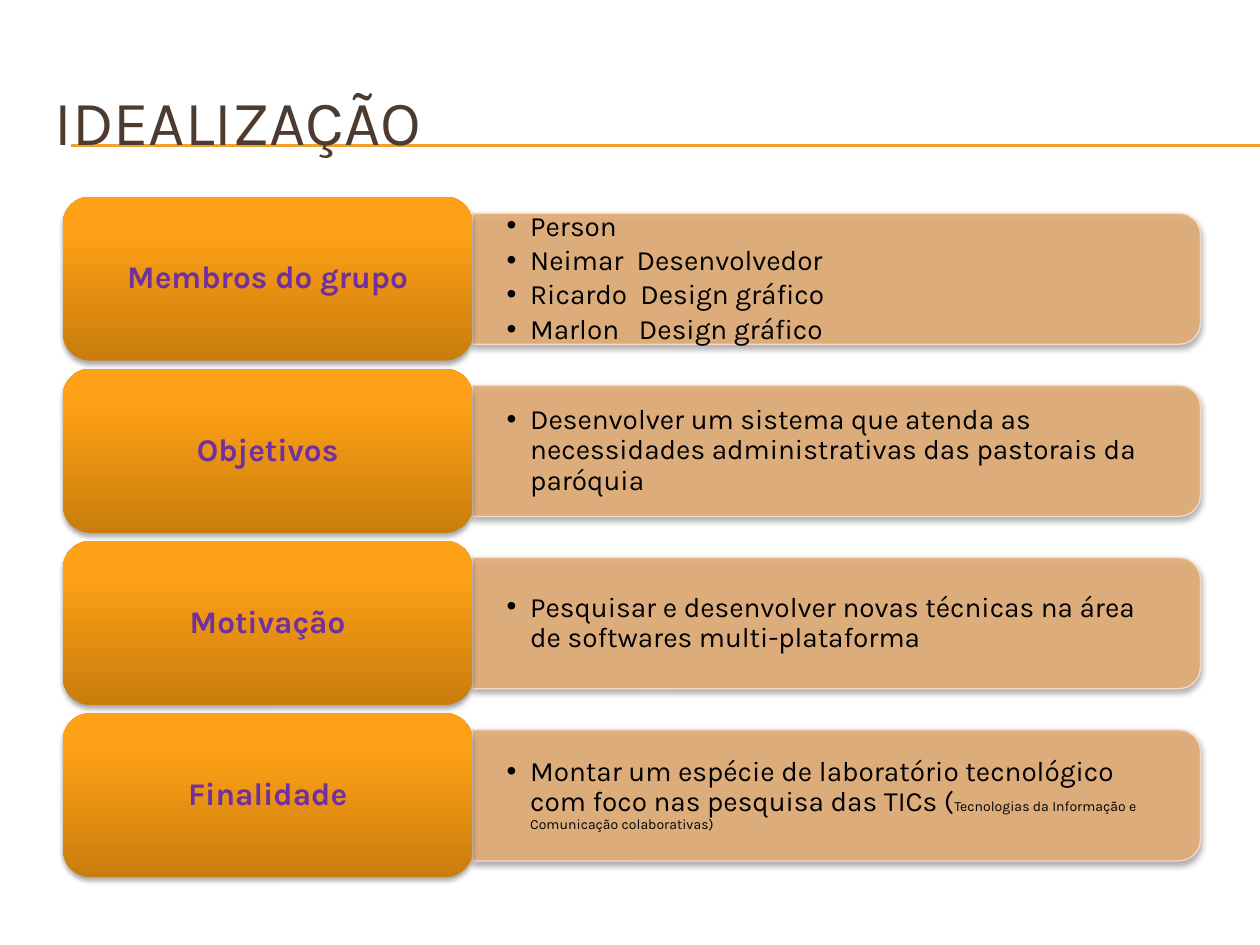
from copy import deepcopy

from pptx import Presentation
from pptx.dml.color import RGBColor
from pptx.enum.shapes import MSO_CONNECTOR, MSO_SHAPE
from pptx.enum.text import MSO_ANCHOR, PP_ALIGN
from pptx.oxml import parse_xml
from pptx.oxml.ns import nsdecls, qn
from pptx.util import Pt


def color(value):
    return RGBColor.from_string(value)


class IdeaPage:
    """Holds the style and the current page, and draws its elements."""

    font = "Karla"
    title_color = "4E3B30"
    rule_color = "F0A22E"
    label_color = "7030A0"
    text_color = "000000"
    panel_fill = "E2AC76"
    panel_line = "F9E0CD"
    card_stops = [(0, "C97D0D"), (0.8, "FFA116"), (1, "FFA217")]

    def __init__(self, deck):
        self.page = deck.slides.add_slide(deck.slide_layouts[6])

    def rule(self, left, right, top):
        line = self.page.shapes.add_connector(
            MSO_CONNECTOR.STRAIGHT, Pt(left), Pt(top), Pt(right), Pt(top))
        line.line.color.rgb = color(self.rule_color)
        line.line.width = Pt(0.75)
        line._element.spPr.append(parse_xml(f"<a:effectLst {nsdecls('a')}/>"))

    def shadow(self, shape):
        shape.shadow.inherit = False
        effects = shape._element.spPr.find(qn("a:effectLst"))
        effects.append(parse_xml(
            f'<a:outerShdw {nsdecls("a")} blurRad="{Pt(3.1)}" dist="{Pt(1.8)}" '
            'dir="5400000" rotWithShape="0"><a:srgbClr val="000000">'
            '<a:alpha val="35000"/></a:srgbClr></a:outerShdw>'))

    def panel(self, left, top, width, height):
        shift = (width - height) / 2
        shape = self.page.shapes.add_shape(
            MSO_SHAPE.ROUND_2_SAME_RECTANGLE,
            Pt(left + shift), Pt(top - shift), Pt(height), Pt(width))
        shape.rotation = 90
        shape.fill.solid()
        shape.fill.fore_color.rgb = color(self.panel_fill)
        shape.line.color.rgb = color(self.panel_line)
        shape.line.width = Pt(0.75)
        for tint in shape._element.spPr.iter(qn("a:srgbClr")):
            tint.append(parse_xml(f'<a:alpha {nsdecls("a")} val="90000"/>'))
        self.shadow(shape)

    def card(self, left, top, width, height):
        shape = self.page.shapes.add_shape(
            MSO_SHAPE.ROUNDED_RECTANGLE, Pt(left), Pt(top), Pt(width), Pt(height))
        shape.fill.gradient()
        shape.fill.gradient_angle = 90
        stops = shape._element.spPr.find(".//" + qn("a:gsLst"))
        stops.append(deepcopy(stops[0]))
        for stop, (position, value) in zip(shape.fill.gradient_stops, self.card_stops):
            stop.position = position
            stop.color.rgb = color(value)
        shape.line.fill.background()
        self.shadow(shape)

    def text(self, area, paragraphs, tint, inset, bold=False, align=PP_ALIGN.LEFT,
             spacing=1.0, after=0, bullet=False):
        box = self.page.shapes.add_textbox(*[Pt(length) for length in area])
        frame = box.text_frame
        frame.word_wrap = True
        frame.vertical_anchor = MSO_ANCHOR.MIDDLE
        frame.margin_left = frame.margin_right = Pt(inset[0])
        frame.margin_top = frame.margin_bottom = Pt(inset[1])
        for index, spans in enumerate(paragraphs):
            para = frame.add_paragraph() if index else frame.paragraphs[0]
            para.alignment = align
            para.line_spacing = spacing
            para.space_after = Pt(after)
            if bullet:
                self.bullet(para)
            for words, size in spans:
                span = para.add_run()
                span.text = words
                span.font.name = self.font
                span.font.size = Pt(size)
                span.font.bold = bold
                span.font.color.rgb = color(tint)

    def bullet(self, para):
        settings = para._p.get_or_add_pPr()
        settings.set("marL", str(Pt(13.5)))
        settings.set("indent", str(-Pt(13.5)))
        settings.append(parse_xml(f'<a:buFont {nsdecls("a")} typeface="Arial"/>'))
        settings.append(parse_xml(f'<a:buChar {nsdecls("a")} char="•"/>'))

    def title(self, words):
        self.text((24, 36, 684, 66), [[(words, 36)]], self.title_color, (7.2, 3.6))

    def row(self, top, label, items):
        self.panel(270, top + 9.4, 416, 75)
        self.text((270, top + 13, 412.5, 67.7), items, self.text_color, (19.5, 9.75),
                  spacing=0.9, after=2.4, bullet=True)
        self.card(36, top, 234, 93.7)
        self.text((40.6, top + 4.6, 224.8, 84.5), [[(label, 18)]], self.label_color,
                  (5.4, 2.7), bold=True, align=PP_ALIGN.CENTER, spacing=0.9)


ROWS = [
    ("Membros do grupo", [
        [("Person", 16)],
        [("Neimar  Desenvolvedor", 16)],
        [("Ricardo  Design gráfico", 16)],
        [("Marlon   Design gráfico", 16)]]),
    ("Objetivos", [
        [("Desenvolver um sistema que atenda as necessidades "
          "administrativas das pastorais da paróquia", 16)]]),
    ("Motivação", [
        [("Pesquisar e desenvolver novas técnicas na área "
          "de softwares multi-plataforma", 16)]]),
    ("Finalidade", [
        [("Montar um espécie de laboratório tecnológico "
          "com foco nas pesquisa das TICs (", 16),
         ("Tecnologias da Informação e Comunicação colaborativas)", 8)]]),
]

deck = Presentation()
deck.slide_width, deck.slide_height = Pt(720), Pt(540)
idea = IdeaPage(deck)
for rule_top in (82.8, 83.5):
    idea.rule(40.5, 720, rule_top)
idea.title("IDEALIZAÇÃO")
for number, (label, items) in enumerate(ROWS):
    idea.row(112.4 + number * 98.4, label, items)
deck.save("out.pptx")
